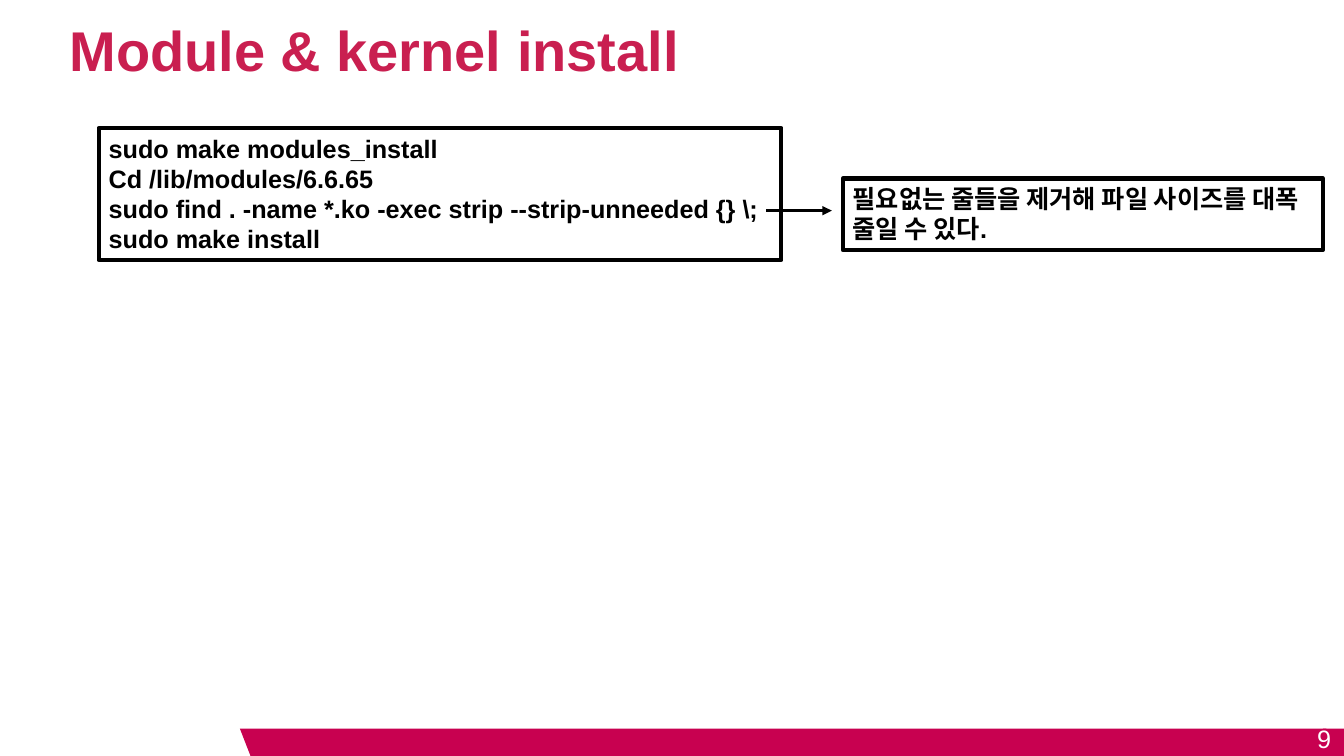
from lxml import etree
from pptx import Presentation
from pptx.dml.color import RGBColor
from pptx.enum.shapes import MSO_CONNECTOR, MSO_SHAPE
from pptx.enum.text import MSO_ANCHOR, PP_ALIGN
from pptx.oxml import parse_xml
from pptx.oxml.ns import nsdecls, qn
from pptx.util import Inches, Pt

RECT = MSO_SHAPE.RECTANGLE
PARALLELOGRAM = MSO_SHAPE.PARALLELOGRAM
STRAIGHT = MSO_CONNECTOR.STRAIGHT
TOP, MIDDLE = MSO_ANCHOR.TOP, MSO_ANCHOR.MIDDLE
LEFT, RIGHT = PP_ALIGN.LEFT, PP_ALIGN.RIGHT

FONT = "Arial"
CRIMSON, ROSE, BLACK, WHITE = "C80150", "C91F50", "000000", "FFFFFF"

COMMANDS = [
    "sudo make modules_install",
    "Cd /lib/modules/6.6.65",
    "sudo find . -name *.ko -exec strip --strip-unneeded {} \\;",
    "sudo make install",
]
STRIP_NOTE = ["필요없는 줄들을 제거해 파일 사이즈를 대폭 줄일 수 있다."]


def rgb(value):
    return RGBColor.from_string(value)


def write(sp, lines, size, color, bold=False, align=LEFT, anchor=TOP, top=0.05, bottom=0.05):
    tf = sp.text_frame
    tf.word_wrap = True
    tf.vertical_anchor = anchor
    tf.margin_left = tf.margin_right = Inches(0.1)
    tf.margin_top, tf.margin_bottom = Inches(top), Inches(bottom)
    tf.text = "\n".join(lines)
    for p in tf.paragraphs:
        p.alignment = align
        for r in p.runs:
            r.font.name = FONT
            r.font.size = Pt(size)
            r.font.bold = bold
            r.font.color.rgb = rgb(color)


def add_text(s, box, lines, size, color, **style):
    sp = s.shapes.add_textbox(*map(Inches, box))
    write(sp, lines, size, color, **style)
    return sp


def add_bar(s, kind, box):
    sp = s.shapes.add_shape(kind, *map(Inches, box))
    sp.shadow.inherit = False
    sp.fill.solid()
    sp.fill.fore_color.rgb = rgb(CRIMSON)
    sp.line.fill.background()
    return sp


def add_frame(s, box, lines):
    sp = s.shapes.add_shape(RECT, *map(Inches, box))
    sp.shadow.inherit = False
    sp.fill.background()
    sp.line.color.rgb = rgb(BLACK)
    sp.line.width = Pt(3)
    write(sp, lines, 18, BLACK, bold=True)


def add_arrow(s, x1, x2, y):
    c = s.shapes.add_connector(STRAIGHT, Inches(x1), Inches(y), Inches(x2), Inches(y))
    c.line.color.rgb = rgb(BLACK)
    c.line.width = Pt(2.25)
    etree.SubElement(c.line._get_or_add_ln(), qn("a:tailEnd"), type="triangle")
    etree.SubElement(c._element.spPr, qn("a:effectLst"))


def add_text_shadow(r):
    fill = r._r.rPr.find(qn("a:solidFill"))
    fill.addnext(parse_xml(
        f'<a:effectLst {nsdecls("a")}>'
        '<a:outerShdw blurRad="38100" dist="38100" dir="2700000" algn="tl">'
        '<a:srgbClr val="000000"><a:alpha val="43000"/></a:srgbClr>'
        '</a:outerShdw></a:effectLst>'))


def add_footer(s):
    add_bar(s, RECT, (13.12, 7.23, 0.22, 0.27))
    slant = add_bar(s, PARALLELOGRAM, (2.38, 7.23, 10.88, 0.27))
    slant.adjustments[0] = 0.389
    slant._element.spPr.find(qn("a:xfrm")).set("flipH", "1")
    add_text(s, (12.48, 7.13, 0.82, 0.4), ["9"], 18, WHITE, align=RIGHT, anchor=MIDDLE)


def main():
    prs = Presentation()
    prs.slide_width, prs.slide_height = Inches(13.33), Inches(7.5)
    s = prs.slides.add_slide(prs.slide_layouts[6])
    add_footer(s)
    title = add_text(s, (0.59, 0.13, 9.22, 0.69), ["Module & kernel install"], 40, ROSE,
                     bold=True, anchor=MIDDLE, top=0.02, bottom=0)
    add_text_shadow(title.text_frame.paragraphs[0].runs[0])
    add_frame(s, (0.98, 1.27, 6.77, 1.31), COMMANDS)
    add_arrow(s, 7.6, 8.25, 2.09)
    add_frame(s, (8.36, 1.77, 4.76, 0.71), STRIP_NOTE)
    prs.save("out.pptx")


if __name__ == "__main__":
    main()
